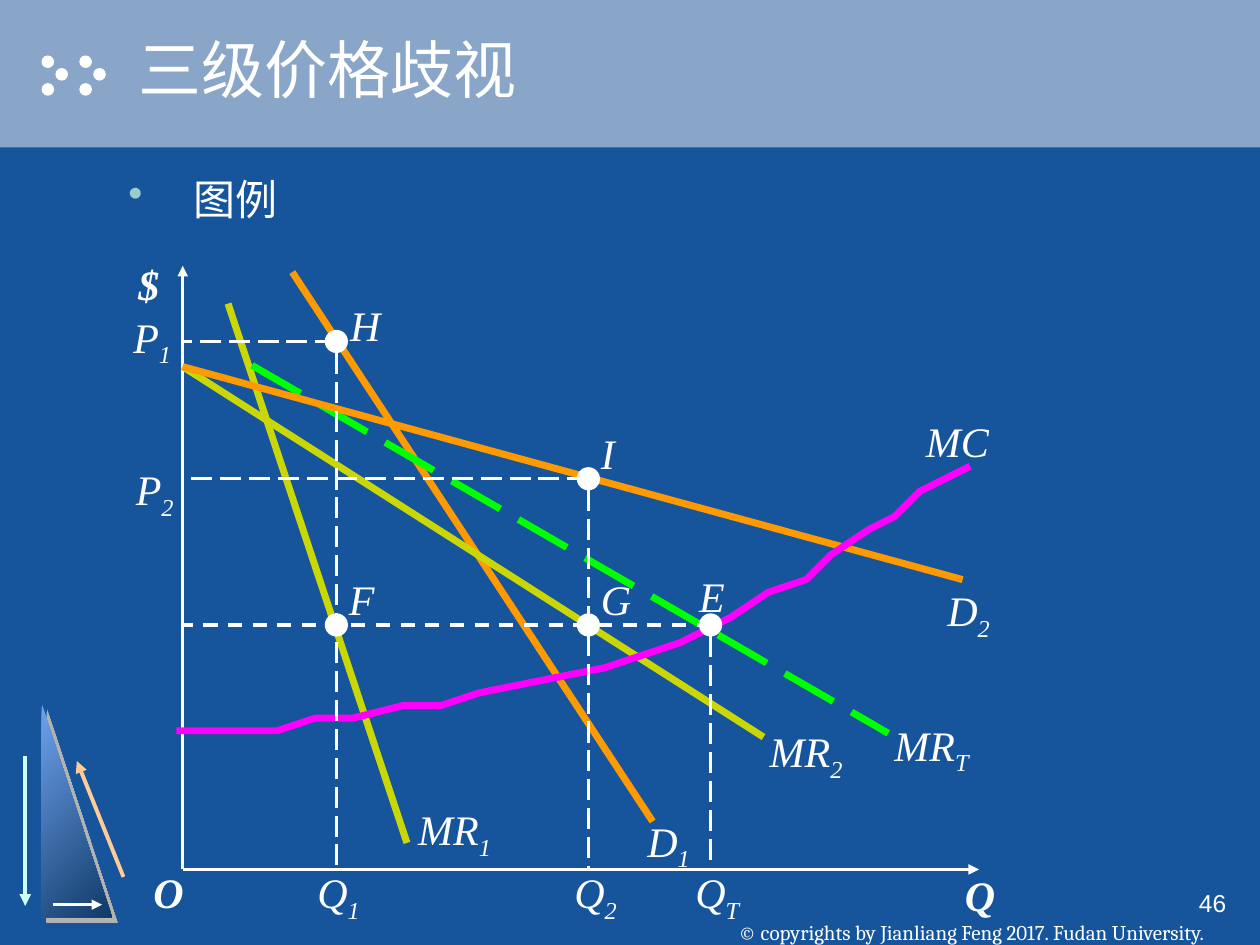
from lxml import etree
from pptx import Presentation
from pptx import util as u
from pptx.dml.color import RGBColor
from pptx.enum import dml, shapes, text
from pptx.oxml import parse_xml
from pptx.oxml.ns import nsdecls, qn

CELL = u.Inches(0.1)
COLS, ROWS = 100, 75
COLORS = {
    "bg": "16559B", "band": "89A5C7", "white": "FFFFFF", "bullet": "99CCCC",
    "light": "6FA2ED", "dark": "0F3A68", "shade": "B2B2B2",
    "cyan": "CCFFFF", "peach": "FFCC99", "demand": "FF9900",
    "revenue": "CAD704", "total": "00FF00", "cost": "FF00FF", "title_shade": "000000",
}
SERIF = "Times New Roman"
DASH = dml.MSO_LINE.DASH
LONG = dml.MSO_LINE.LONG_DASH
AXIS_X, AXIS_Y, COST_Y = 14.5, 69, 49.6
POINTS = {"H": (26.7, 27.1), "F": (26.7, COST_Y), "I": (46.7, 38),
          "G": (46.7, COST_Y), "E": (56.4, COST_Y)}
MC_CURVE = [
    (14.5, 58.4), (16.3, 58.2), (17.4, 58), (18.8, 58), (21.7, 57.7), (24.9, 57.3),
    (28.2, 56.9), (31.7, 56.5), (34.9, 56), (37.8, 55.4), (43.2, 54.1), (48.5, 52.6),
    (51, 51.7), (53.5, 50.8), (56, 49.8), (58.5, 48.6), (61, 47.3), (63.6, 45.8),
    (66.2, 44.2), (68.9, 42.4), (71.2, 40.7), (73.4, 39.2), (75.4, 37.8), (77, 36.7),
]
CURVES = [
    ((23.2, 21.6), (51.8, 65.2), "demand", None),
    ((18.1, 24.1), (32.3, 66.9), "revenue", None),
    ((20, 29), (70.5, 58.2), "total", LONG),
    ((AXIS_X, 29.1), (60.6, 58.5), "revenue", None),
    ((AXIS_X, 29.1), (76.4, 46), "demand", None),
]
LABELS = [
    ("D", "1", 50.4, 64.2, 5.4), ("MR", "1", 32.2, 63.3, 7.8),
    ("MR", "T", 70, 56.6, 7.9), ("MR", "2", 60.1, 57.1, 7.8),
    ("D", "2", 74.2, 45.9, 5.4), ("MC", "", 72.5, 32.5, 7),
    ("Q", "T", 54.2, 68.3, 5.5), ("Q", "1", 24.2, 68.3, 5.4),
    ("Q", "2", 44.6, 68.3, 5.4), ("P", "1", 9.6, 24.2, 5),
    ("P", "2", 9.8, 36.3, 5), ("E", "", 54.5, 44.8, 4),
    ("F", "", 26.7, 45, 4), ("H", "", 26.8, 23.3, 4.4),
    ("G", "", 46.7, 45, 4.4), ("I", "", 46.7, 33.4, 3.1),
]
AXIS_LABELS = [("Q", 75.6, 68.5, 4.4), ("O", 11.2, 68.3, 4.4), ("$", 10, 20, 3.6)]


def rgb(name):
    return RGBColor.from_string(COLORS[name])


def grid(*cells):
    return [round(c * CELL) for c in cells]


def add_shadow(parent, name, dist, angle):
    parent.append(parse_xml(
        f'<a:effectLst {nsdecls("a")}><a:outerShdw dist="{u.Pt(dist)}" dir="{angle * 60000}" '
        f'algn="ctr"><a:srgbClr val="{COLORS[name]}"/></a:outerShdw></a:effectLst>'))


def add_solid(slide, kind, box, color):
    sp = slide.shapes.add_shape(kind, *grid(*box))
    sp.shadow.inherit = False
    sp.fill.solid()
    sp.fill.fore_color.rgb = rgb(color)
    sp.line.fill.background()
    return sp


def add_line(slide, start, end, color, width, dash=None, arrow=False):
    line = slide.shapes.add_connector(shapes.MSO_CONNECTOR.STRAIGHT, *grid(*start, *end))
    line.line.color.rgb = rgb(color)
    line.line.width = u.Pt(width)
    if dash:
        line.line.dash_style = dash
    if arrow:
        etree.SubElement(line.line._get_or_add_ln(), qn("a:tailEnd"), type="triangle")
    etree.SubElement(line._element.spPr, qn("a:effectLst"))


def add_text(slide, words, box, size, font=SERIF, wrap=True, align=text.PP_ALIGN.LEFT,
             anchor=text.MSO_ANCHOR.TOP):
    sp = slide.shapes.add_textbox(*grid(*box))
    tf = sp.text_frame
    tf.word_wrap = wrap
    tf.vertical_anchor = anchor
    p = tf.paragraphs[0]
    p.alignment = align
    p.add_run().text = words
    p.font.size = u.Pt(size)
    p.font.name = font
    p.font.color.rgb = rgb("white")
    return tf


def add_label(slide, name, sub, left, top, width, bold=False):
    box = (left, top, width, 5.5 if sub else 5)
    p = add_text(slide, name, box, 24, wrap=False).paragraphs[0]
    p.font.italic = True
    p.font.bold = bold
    if sub:
        r = p.add_run()
        r.text = sub
        r.font._element.set("baseline", "-25000")


def add_decor(slide):
    add_solid(slide, shapes.MSO_SHAPE.RECTANGLE, (0, 0, COLS, 11.7), "band")
    for left in (3.3, 6.3):
        for dx, top in ((0, 4.4), (1.1, 5.4), (0, 6.6)):
            add_solid(slide, shapes.MSO_SHAPE.OVAL, (left + dx, top, 1, 1), "white")
    sp = add_solid(slide, shapes.MSO_SHAPE.RIGHT_TRIANGLE, (3.3, 55.8, 5.6, 17), "light")
    sp.fill.gradient()
    sp.fill.gradient_angle = 315
    for stop, name in zip(sp.fill.gradient_stops, ("light", "dark")):
        stop.color.rgb = rgb(name)
    pr = sp._element.spPr
    pr.remove(pr.find(qn("a:effectLst")))
    add_shadow(pr, "shade", 4.2, 45)
    add_line(slide, (2, 60), (2, 71.9), "cyan", 2.25, arrow=True)
    add_line(slide, (9.8, 69.6), (6.1, 60.4), "peach", 2.25, arrow=True)
    add_line(slide, (4.2, 71.8), (8.1, 71.8), "white", 1.5, arrow=True)


def add_texts(slide):
    tf = add_text(slide, "© copyrights by Jianliang Feng 2017. Fudan University.",
                  (54.2, 70, 45.8, 5), 12, "Cambria", False,
                  text.PP_ALIGN.CENTER, text.MSO_ANCHOR.BOTTOM)
    tf.margin_top = tf.margin_bottom = 0
    add_text(slide, "46", (77.5, 70, 20.8, 5), 14, "Arial", align=text.PP_ALIGN.RIGHT)
    tf = add_text(slide, "三级价格歧视", (10, 0, 90, 10.8), 36, "Arial",
                  anchor=text.MSO_ANCHOR.MIDDLE)
    add_shadow(tf.paragraphs[0].runs[0].font._element, "title_shade", 2, 45)
    tf = add_text(slide, "图例", (9.2, 13.3, 81.7, 50), 24)
    pr = tf.paragraphs[0]._p.get_or_add_pPr()
    indent = u.Inches(0.52)
    pr.set("marL", str(indent))
    pr.set("indent", str(-indent))
    color = etree.Element(qn("a:buClr"))
    etree.SubElement(color, qn("a:srgbClr"), val=COLORS["bullet"])
    pr.insert(0, color)
    pr.insert(1, etree.Element(qn("a:buChar"), char="•"))


def add_diagram(slide):
    origin = (AXIS_X, AXIS_Y)
    add_line(slide, origin, (AXIS_X, 21.1), "white", 2, arrow=True)
    add_line(slide, origin, (77.7, AXIS_Y), "white", 2, arrow=True)
    for start, end, color, dash in CURVES:
        add_line(slide, start, end, color, 4, dash)
    builder = slide.shapes.build_freeform(*MC_CURVE[0], scale=CELL)
    builder.add_line_segments(MC_CURVE[1:], close=False)
    sp = builder.convert_to_shape()
    sp.shadow.inherit = False
    sp.fill.background()
    sp.line.color.rgb = rgb("cost")
    sp.line.width = u.Pt(4)

    add_line(slide, POINTS["E"], (AXIS_X, COST_Y), "white", 2, DASH)
    for name in "HIE":
        x, y = POINTS[name]
        add_line(slide, (x, y + 0.9), (x, AXIS_Y), "white", 1.5, LONG)
        if name != "E":
            add_line(slide, (x, y), (AXIS_X, y), "white", 1.5, LONG)
    for x, y in POINTS.values():
        sp = add_solid(slide, shapes.MSO_SHAPE.OVAL, (x - 0.85, y - 0.85, 1.7, 1.7), "white")
        sp.line.color.rgb = rgb("white")
        sp.line.width = u.Pt(1)
    for label in LABELS:
        add_label(slide, *label)
    for name, *place in AXIS_LABELS:
        add_label(slide, name, "", *place, bold=True)


def main():
    prs = Presentation()
    prs.slide_width, prs.slide_height = grid(COLS, ROWS)
    slide = prs.slides.add_slide(prs.slide_layouts[6])
    slide.background.fill.solid()
    slide.background.fill.fore_color.rgb = rgb("bg")
    add_decor(slide)
    add_texts(slide)
    add_diagram(slide)
    prs.save("out.pptx")


if __name__ == "__main__":
    main()
